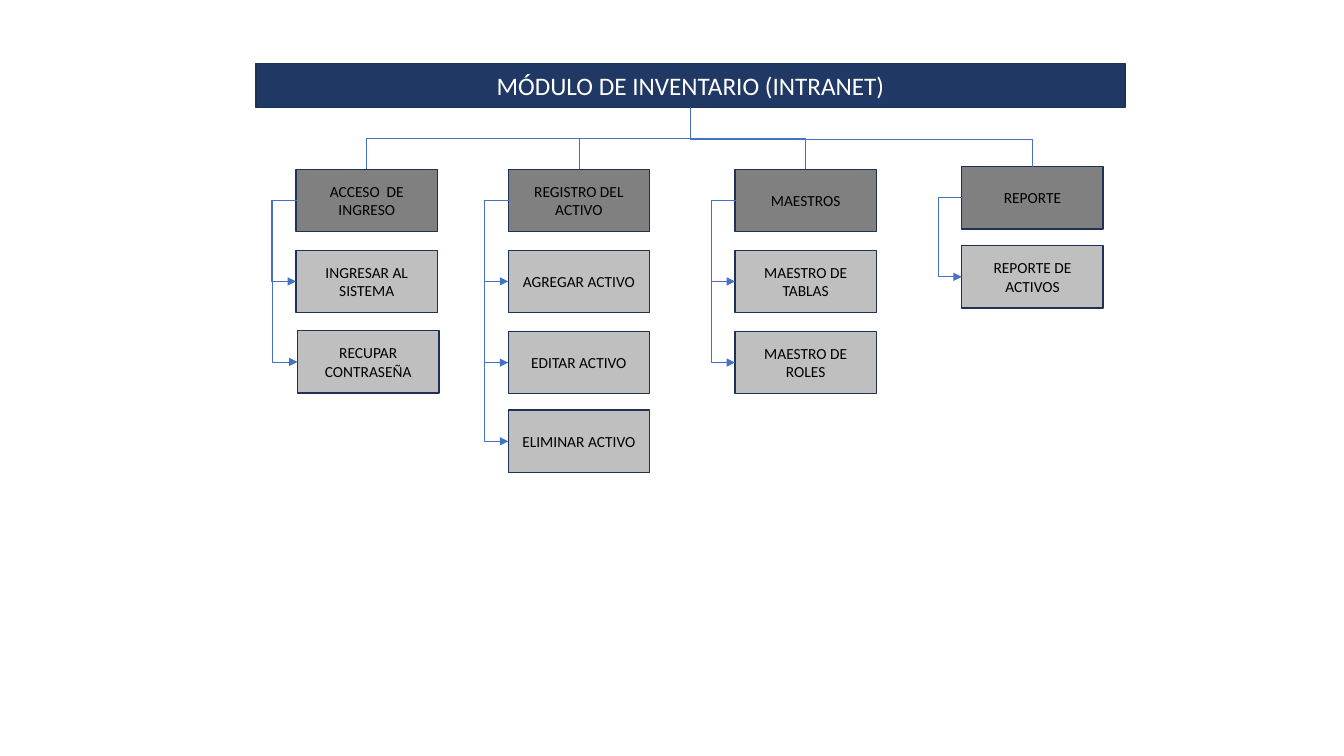
from pptx import Presentation
from pptx.util import Pt
from pptx.dml.color import RGBColor as Rgb
from pptx.enum.shapes import MSO_SHAPE as Shape, MSO_CONNECTOR as Link
from pptx.enum.text import PP_ALIGN as Align, MSO_ANCHOR as Anchor
from pptx.oxml.ns import qn
from lxml.etree import SubElement as Sub

TITLE = "MÓDULO DE INVENTARIO (INTRANET)"
GROUPS = [
    {"head": "ACCESO  DE INGRESO", "left": 211.5, "top": 121, "gap": 18,
     "items": [("INGRESAR AL SISTEMA", 0, 178.75), ("RECUPAR CONTRASEÑA", 1, 236.25)]},
    {"head": "REGISTRO DEL ACTIVO", "left": 363, "top": 121, "gap": 17,
     "items": [("AGREGAR ACTIVO", 0, 178.75), ("EDITAR ACTIVO", 0, 236.75),
               ("ELIMINAR ACTIVO", 0, 293)]},
    {"head": "MAESTROS", "left": 525, "top": 121, "gap": 17,
     "items": [("MAESTRO DE TABLAS", 0, 178.75), ("MAESTRO DE ROLES", 0, 236.75)]},
    {"head": "REPORTE", "left": 687, "top": 119, "gap": 17,
     "items": [("REPORTE DE ACTIVOS", 0, 175.5)]},
]
HEX = {"navy": "203864", "edge": "1E3256", "dark": "808080", "light": "BFBFBF",
       "link": "4472C4", "white": "FFFFFF", "black": "000000"}
BAR = (183, 45.5, 620.5, 31.25)
WIDE, HIGH = 101, 44.5

deck = Presentation()
deck.slide_width, deck.slide_height = Pt(960), Pt(540)
slide = deck.slides.add_slide(deck.slide_layouts[6])


def color(name):
    return Rgb.from_string(HEX[name])


def add_box(text, area, fill, size=11, ink="black"):
    box = slide.shapes.add_shape(Shape.RECTANGLE, *map(Pt, area))
    box.shadow.inherit = False
    box.fill.solid()
    box.fill.fore_color.rgb = color(fill)
    box.line.color.rgb = color("edge")
    box.line.width = Pt(1)
    frame = box.text_frame
    frame.word_wrap, frame.vertical_anchor = True, Anchor.MIDDLE
    para = frame.paragraphs[0]
    para.alignment = Align.CENTER
    run = para.add_run()
    run.text = text
    for key, val in {"name": "Calibri", "size": Pt(size)}.items():
        setattr(run.font, key, val)
    run.font.color.rgb = color(ink)


def add_link(ends, bend, turn=0, arrow=False):
    link = slide.shapes.add_connector(Link.ELBOW, *map(Pt, ends))
    link.line.color.rgb = color("link")
    link.line.width = Pt(0.5)
    props = link._element.spPr
    if turn:
        props.find(qn("a:xfrm")).set("rot", str(turn * 60000))
    guides = props.find(qn("a:prstGeom")).find(qn("a:avLst"))
    Sub(guides, qn("a:gd"), name="adj1", fmla=f"val {round(bend * 100000)}")
    if arrow:
        Sub(props.find(qn("a:ln")), qn("a:tailEnd"), type="triangle")
    Sub(props, qn("a:effectLst"))


def add_drop(x1, y1, x2, y2, bend):
    midx, midy = (x1 + x2) / 2, (y1 + y2) / 2
    half, side = (y2 - y1) / 2, abs(x2 - x1) / 2
    sign, turn = (1, 90) if x2 < x1 else (-1, 270)
    ends = (midx - sign * half, midy - side, midx + sign * half, midy + side)
    add_link(ends, bend, turn)


add_box(TITLE, BAR, "navy", 18, "white")
stem, base = BAR[0] + BAR[2] / 2, BAR[1] + BAR[3]
for group in GROUPS:
    left, top, gap = group["left"], group["top"], group["gap"]
    add_box(group["head"], (left, top, WIDE, HIGH), "dark")
    bend = 0.5 if top == 121 else 0.535
    add_drop(stem, base, left + WIDE / 2, top, bend)
    for text, shift, row in group["items"]:
        add_box(text, (left + shift, row, WIDE, HIGH), "light")
        start, end = left + 1 - shift, left + shift
        bend = (left - gap + shift - start) / (end - start)
        add_link((start, top + HIGH / 2, end, row + HIGH / 2), bend, arrow=True)

deck.save("out.pptx")
